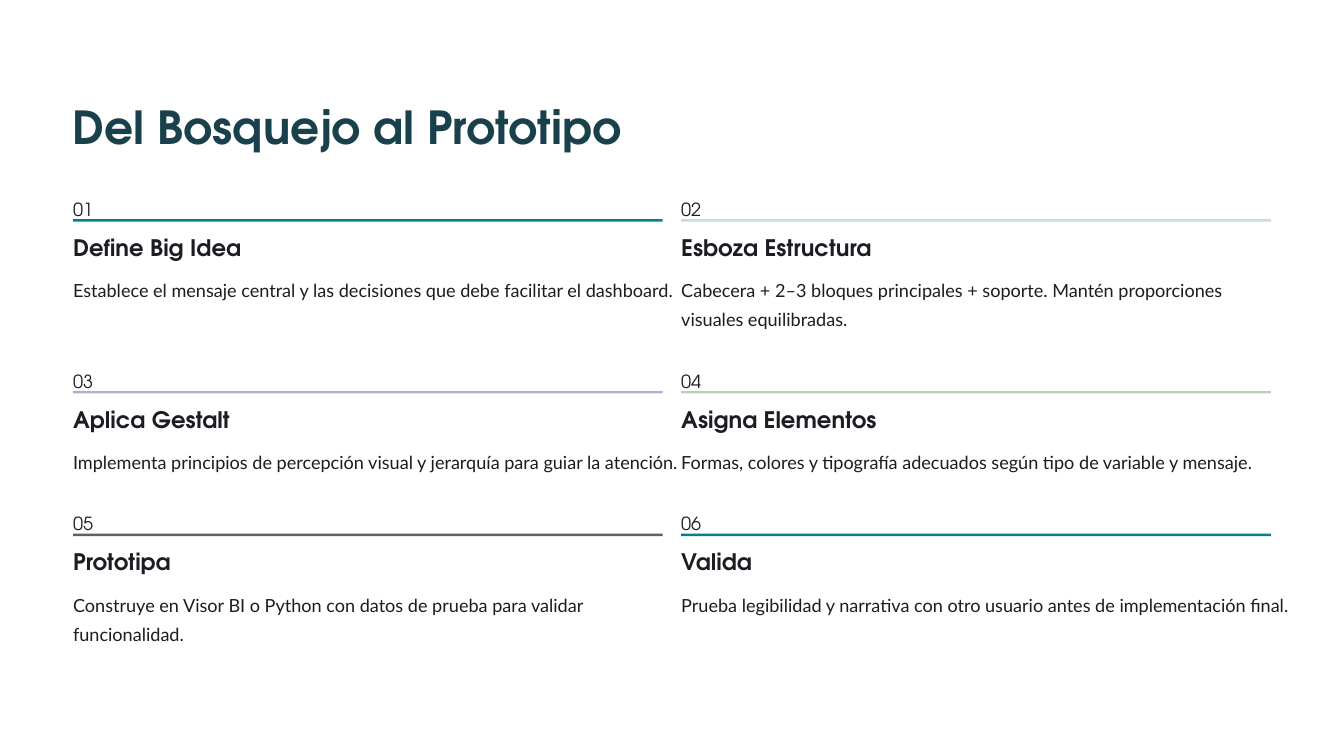
"""Builds the slide on the six steps from sketch to prototype."""
from pptx import Presentation
from pptx.dml.color import RGBColor
from pptx.enum.shapes import MSO_SHAPE
from pptx.util import Cm, Pt

RECTANGLE = MSO_SHAPE.RECTANGLE
WHITE = RGBColor(0xFF, 0xFF, 0xFF)
PINE = RGBColor(0x19, 0x41, 0x4B)
INK = RGBColor(0x1C, 0x1D, 0x22)
TEAL = RGBColor(0x02, 0x80, 0x90)
MIST = RGBColor(0xCA, 0xDC, 0xD8)
LILAC = RGBColor(0xB9, 0xAA, 0xD4)
GREEN = RGBColor(0xB2, 0xD5, 0xAD)
GRAY = RGBColor(0x60, 0x60, 0x60)

DISPLAY, BODY = "TeX Gyre Adventor", "Lato"
SLIDE_WIDTH, SLIDE_HEIGHT = 40.64, 22.86
COLUMNS = (2.21, 20.6)
ROWS = (5.77, 10.97, 15.28)
STEP_WIDTH = 17.83
ONE_LINE_WIDTH = 18.6
LINE_HEIGHT = 0.88

STEPS = (
    ("Define Big Idea", TEAL, 1,
     "Establece el mensaje central y las decisiones que debe facilitar el dashboard."),
    ("Esboza Estructura", MIST, 2,
     "Cabecera + 2–3 bloques principales + soporte. "
     "Mantén proporciones visuales equilibradas."),
    ("Aplica Gestalt", LILAC, 1,
     "Implementa principios de percepción visual y jerarquía para guiar la atención."),
    ("Asigna Elementos", GREEN, 1,
     "Formas, colores y tipografía adecuados según tipo de variable y mensaje."),
    ("Prototipa", GRAY, 2,
     "Construye en Visor BI o Python con datos de prueba para validar funcionalidad."),
    ("Valida", TEAL, 1,
     "Prueba legibilidad y narrativa con otro usuario antes de implementación final."),
)


class Deck:
    def __init__(self):
        self.presentation = Presentation()
        self.presentation.slide_width = Cm(SLIDE_WIDTH)
        self.presentation.slide_height = Cm(SLIDE_HEIGHT)
        self.slide = self.presentation.slides.add_slide(self.presentation.slide_layouts[6])

    def text(self, wording, left, top, width, height, size, spacing,
             font=DISPLAY, color=INK, bold=False, wrap=False):
        box = self.slide.shapes.add_textbox(Cm(left), Cm(top), Cm(width), Cm(height))
        frame = box.text_frame
        frame.margin_left = frame.margin_right = 0
        frame.margin_top = frame.margin_bottom = 0
        frame.word_wrap = wrap
        paragraph = frame.paragraphs[0]
        paragraph.line_spacing = Pt(spacing)
        run = paragraph.add_run()
        run.text = wording
        run.font.name = font
        run.font.size = Pt(size)
        run.font.bold = bold
        run.font.color.rgb = color

    def block(self, left, top, width, height, color):
        block = self.slide.shapes.add_shape(
            RECTANGLE, Cm(left), Cm(top), Cm(width), Cm(height))
        block.shadow.inherit = False
        block.fill.solid()
        block.fill.fore_color.rgb = color
        block.line.fill.background()

    def step(self, number, left, top, heading, color, lines, detail):
        wrap = lines > 1
        detail_width = STEP_WIDTH if wrap else ONE_LINE_WIDTH
        self.text(f"{number:02}", left, top, 0.8, 0.69, 15.5, 25)
        self.block(left, top + 0.86, STEP_WIDTH, 0.07, color)
        self.text(heading, left, top + 1.27, 6.88, 0.86, 19.5, 24, bold=True)
        self.text(detail, left, top + 2.46, detail_width, lines * LINE_HEIGHT, 15.5, 25,
                  font=BODY, wrap=wrap)


def main():
    deck = Deck()
    deck.block(0, 0, SLIDE_WIDTH, SLIDE_HEIGHT, WHITE)
    deck.text("Del Bosquejo al Prototipo", 2.2, 2.93, 16.92, 1.73, 39, 48.5,
              color=PINE, bold=True)
    for index, step in enumerate(STEPS):
        row, column = divmod(index, len(COLUMNS))
        deck.step(index + 1, COLUMNS[column], ROWS[row], *step)
    deck.presentation.save("out.pptx")


if __name__ == "__main__":
    main()
